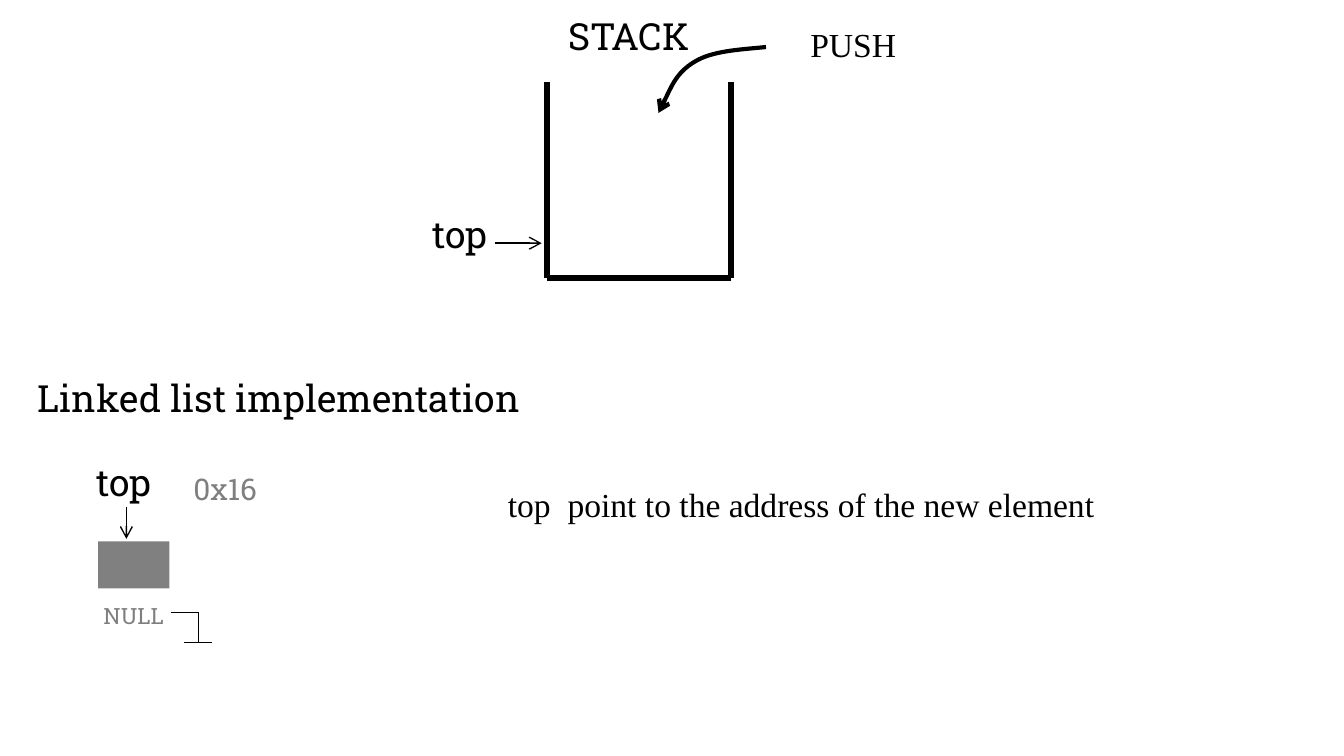
from dataclasses import dataclass

from lxml.etree import SubElement
from pptx import Presentation
from pptx.dml.color import RGBColor
from pptx.enum.shapes import MSO_CONNECTOR, MSO_SHAPE
from pptx.oxml.ns import qn
from pptx.util import Pt


@dataclass(frozen=True)
class Theme:
    ink: RGBColor = RGBColor(0x00, 0x00, 0x00)
    muted: RGBColor = RGBColor(0x7F, 0x7F, 0x7F)
    node: RGBColor = RGBColor(0x80, 0x80, 0x80)
    slab: str = "Roboto Slab"
    serif: str = "Times New Roman"
    title: int = 20
    note: int = 18
    address: int = 16
    small: int = 12
    thin: float = 0.75
    curve: float = 2.25
    wall: float = 3


THEME = Theme()


def add_label(slide, text, left, top, width, height, size=THEME.title,
              font=THEME.slab, color=THEME.ink, side_inset=7.2, wrap=True):
    frame = slide.shapes.add_textbox(Pt(left), Pt(top), Pt(width), Pt(height)).text_frame
    frame.word_wrap = wrap
    frame.margin_left = frame.margin_right = Pt(side_inset)
    paragraph = frame.paragraphs[0]
    paragraph.text = text
    paragraph.font.size = Pt(size)
    paragraph.font.name = font
    paragraph.font.color.rgb = color


def style_line(shape, weight, arrow=False):
    shape.line.color.rgb = THEME.ink
    shape.line.width = Pt(weight)
    properties = shape._element.spPr
    if arrow:
        SubElement(properties.find(qn("a:ln")), qn("a:tailEnd"), type="arrow")
    SubElement(properties, qn("a:effectLst"))


def add_line(slide, x1, y1, x2, y2, weight=THEME.thin, arrow=False):
    line = slide.shapes.add_connector(
        MSO_CONNECTOR.STRAIGHT, Pt(x1), Pt(y1), Pt(x2), Pt(y2))
    style_line(line, weight, arrow)


def add_curved_arrow(slide, points):
    """Draw cubic curves through a start point and triples of control points."""
    start, *controls = [(Pt(x), Pt(y)) for x, y in points]
    builder = slide.shapes.build_freeform(*start)
    builder.add_line_segments(controls, close=False)
    shape = builder.convert_to_shape()
    shape.fill.background()
    style_line(shape, THEME.curve, arrow=True)
    outline = shape._element.spPr.find(".//" + qn("a:path"))
    segments = outline.findall(qn("a:lnTo"))
    for first in range(0, len(segments), 3):
        curve = SubElement(outline, qn("a:cubicBezTo"))
        for segment in segments[first:first + 3]:
            curve.append(segment[0])
            outline.remove(segment)


def add_stack(slide, left, top, width, height):
    right, bottom = left + width, top + height
    for ends in ((left, top, left, bottom), (right, top, right, bottom),
                 (right, bottom, left, bottom)):
        add_line(slide, *ends, weight=THEME.wall)
    add_label(slide, "STACK", left + 4.4, top - 40.4, 82.8, 34.6)
    add_label(slide, "top", left - 68.4, bottom - 39.6, 51.1, 34.6)
    add_line(slide, left - 28, bottom - 18.7, left - 2.8, bottom - 18.7, arrow=True)


def add_push(slide, left, top, width, height):
    """Curve from the top right to the bottom left of the box, label beside it."""
    fractions = ((1, 0), (0.75, 0.04), (0.5, 0.06), (0.34, 0.22),
                 (0.16, 0.39), (0, 1), (0, 1))
    add_curved_arrow(slide, [(left + x * width, top + y * height) for x, y in fractions])
    add_label(slide, "PUSH", left + width + 16.6, top - 15.8, 61.2, 28.8,
              size=THEME.note, font=THEME.serif, wrap=False)


def add_ground(slide, left, top, width, height):
    bar = 15.1
    stem, bottom = left + bar, top + height
    add_line(slide, left, top, stem, top)
    add_line(slide, left + width - bar, bottom, left + width, bottom)
    add_line(slide, stem, top, stem, bottom)


def add_linked_list(slide, left, top):
    add_label(slide, "Linked list implementation", left - 31.6, top - 45.3, 300.2, 34.6)
    add_label(slide, "top", left, top, 73.4, 34.6)
    add_line(slide, left + 23.1, top + 28.8, left + 23.1, top + 46.1, arrow=True)
    add_label(slide, "0x16", left + 59, top + 5.8, 41, 23, size=THEME.address,
              color=THEME.muted, side_inset=0)
    add_ground(slide, left + 46.8, top + 85.7, 22.3, 15.9)
    add_label(slide, "NULL", left + 10.8, top + 76.3, 36.7, 23, size=THEME.small,
              color=THEME.muted, side_inset=0)
    node = slide.shapes.add_shape(
        MSO_SHAPE.RECTANGLE, Pt(left + 8), Pt(top + 47.5), Pt(38.2), Pt(25.2))
    node.shadow.inherit = False
    node.fill.solid()
    node.fill.fore_color.rgb = THEME.node
    node.line.fill.background()


def main():
    presentation = Presentation()
    presentation.slide_width, presentation.slide_height = Pt(720), Pt(405)
    slide = presentation.slides.add_slide(presentation.slide_layouts[6])
    add_stack(slide, 293, 44, 98.7, 105)
    add_push(slide, 352.8, 25.2, 57.6, 35.3)
    add_linked_list(slide, 44.6, 242.6)
    add_label(slide, "top  point to the address of the new element", 265, 255.6,
              331.9, 28.8, size=THEME.note, font=THEME.serif, wrap=False)
    presentation.save("out.pptx")


if __name__ == "__main__":
    main()
